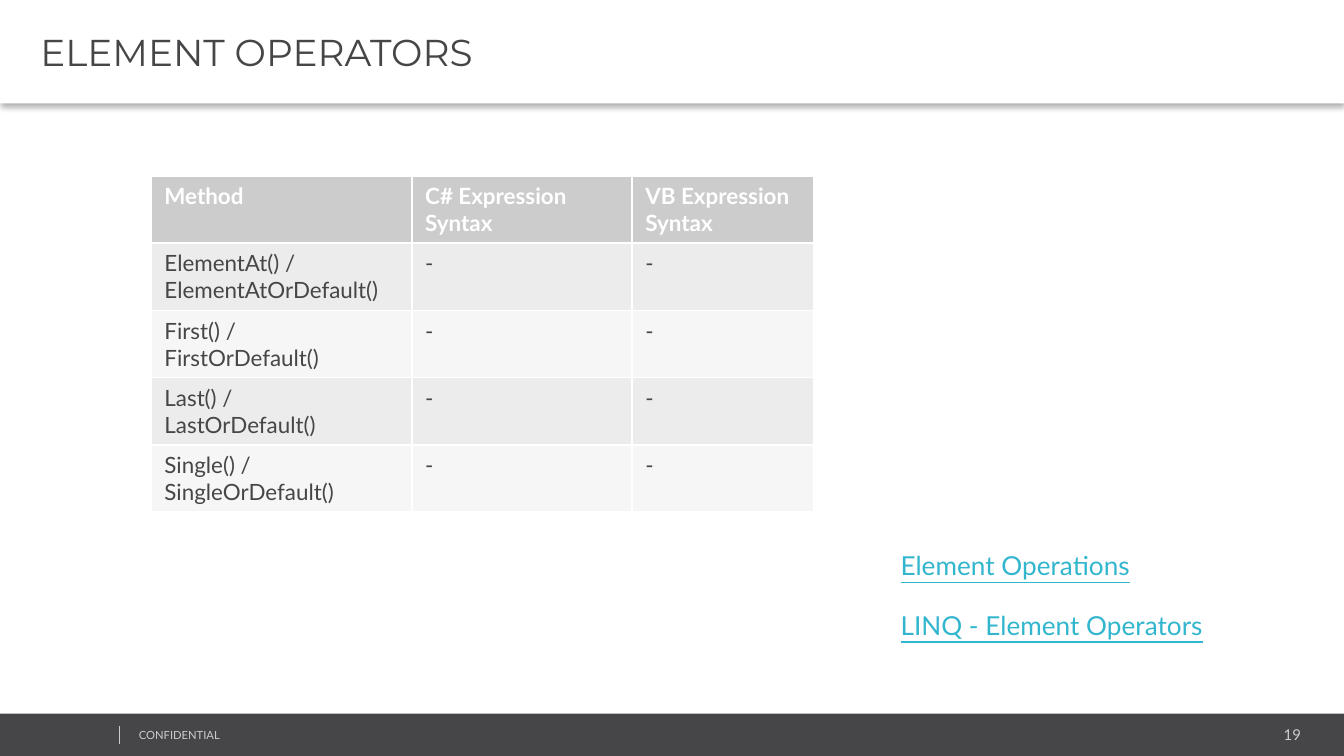
"""Builds the Element Operators slide with a method table and two references."""
from lxml import etree
from pptx import Presentation
from pptx import util as u
from pptx.dml.color import RGBColor
from pptx.enum import shapes, text
from pptx.oxml import ns

WHITE = RGBColor(0xFF, 0xFF, 0xFF)
DARK = RGBColor(0x46, 0x45, 0x47)
SILVER = RGBColor(0xCC, 0xCC, 0xCC)
BAND_DARK = RGBColor(0xEC, 0xEC, 0xEC)
BAND_LIGHT = RGBColor(0xF6, 0xF6, 0xF6)
TEAL = RGBColor(0x32, 0xB6, 0xCE)
SHADOW = """<a:effectLst xmlns:a="http://schemas.openxmlformats.org/drawingml/2006/main">
<a:outerShdw blurRad="39370" dist="25400" dir="5400000" algn="t" rotWithShape="0">
<a:srgbClr val="000000"><a:alpha val="30000"/></a:srgbClr>
</a:outerShdw></a:effectLst>"""


def write(frame, words, size, color, font="Lato", align=text.PP_ALIGN.LEFT,
          bold=False, underline=False):
    frame.text = words
    for paragraph in frame.paragraphs:
        paragraph.alignment = align
        for run in paragraph.runs:
            run.font.name = font
            run.font.size = u.Pt(size)
            run.font.color.rgb = color
            run.font.bold = bold
            run.font.underline = underline


def add_text(slide, left, top, width, height, words, size, color, wrap=True,
             insets=(7.2, 3.6), **style):
    frame = slide.shapes.add_textbox(
        u.Pt(left), u.Pt(top), u.Pt(width), u.Pt(height)).text_frame
    frame.word_wrap = wrap
    frame.auto_size = text.MSO_AUTO_SIZE.SHAPE_TO_FIT_TEXT
    frame.margin_left = frame.margin_right = u.Pt(insets[0])
    frame.margin_top = frame.margin_bottom = u.Pt(insets[1])
    write(frame, words, size, color, **style)


presentation = Presentation()
presentation.slide_width = u.Pt(720)
presentation.slide_height = u.Pt(405)
slide = presentation.slides.add_slide(presentation.slide_layouts[5])

footer = slide.shapes.add_shape(
    shapes.MSO_SHAPE.RECTANGLE, u.Pt(0), u.Pt(382.3), u.Pt(720.5), u.Pt(23.5))
footer.shadow.inherit = False
footer.fill.solid()
footer.fill.fore_color.rgb = DARK
footer.line.fill.background()

add_text(slide, 584.6, 385.9, 117.4, 15.1, "19", 8, SILVER,
         insets=(5, 2.9), align=text.PP_ALIGN.RIGHT)
add_text(slide, 69.4, 387.4, 182, 13, "CONFIDENTIAL", 6, SILVER, insets=(5, 2.9))

divider = slide.shapes.add_connector(
    shapes.MSO_CONNECTOR.STRAIGHT, u.Pt(64), u.Pt(388.8), u.Pt(64), u.Pt(398.5))
divider.line.color.rgb = SILVER
divider.line.width = u.Pt(0.25)
etree.SubElement(divider._element.spPr, ns.qn("a:effectLst"))

title = slide.shapes.title
title.left, title.top, title.width, title.height = u.Pt(0), u.Pt(0), u.Pt(720), u.Pt(55.4)
title.fill.solid()
title.fill.fore_color.rgb = WHITE
title._element.spPr.append(etree.fromstring(SHADOW))
title_frame = title.text_frame
title_frame.auto_size = text.MSO_AUTO_SIZE.NONE
title_frame.vertical_anchor = text.MSO_ANCHOR.MIDDLE
title_frame.margin_left, title_frame.margin_right = u.Pt(21.6), u.Pt(5)
title_frame.margin_top = title_frame.margin_bottom = u.Pt(2.9)
write(title_frame, "ELEMENT OPERATORS", 20, DARK, font="Montserrat")

headers = ["Method", "C# Expression Syntax", "VB Expression Syntax"]
methods = ["ElementAt", "First", "Last", "Single"]
rows = [headers] + [[f"{name}() /\n{name}OrDefault()", "-", "-"] for name in methods]
table = slide.shapes.add_table(
    len(rows), len(headers), u.Pt(80.9), u.Pt(94.2), u.Pt(355.3), u.Pt(180)).table
for column, width in zip(table.columns, (139.7, 118, 97.6)):
    column.width = u.Pt(width)
for row_index, row in enumerate(rows):
    header = row_index == 0
    band = SILVER if header else BAND_DARK if row_index % 2 else BAND_LIGHT
    for column_index, words in enumerate(row):
        cell = table.cell(row_index, column_index)
        cell.fill.solid()
        cell.fill.fore_color.rgb = band
        write(cell.text_frame, words, 12, WHITE if header else DARK, bold=header)

references = [("Element Operations", 290.9, 139.7), ("LINQ - Element Operators", 322.8, 176.4)]
for words, top, width in references:
    add_text(slide, 475.4, top, width, 24.2, words, 14, TEAL, wrap=False, underline=True)

presentation.save("out.pptx")
